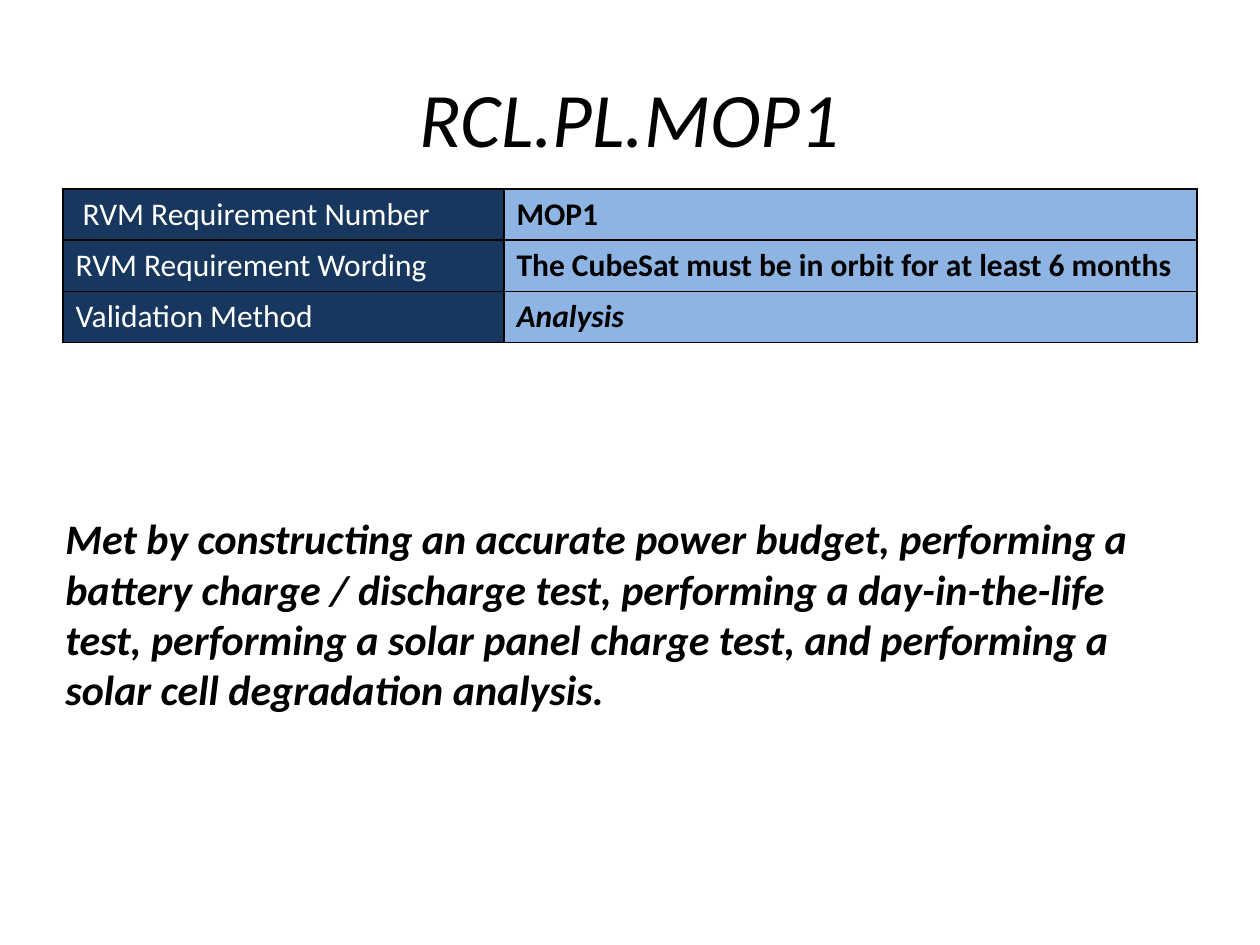
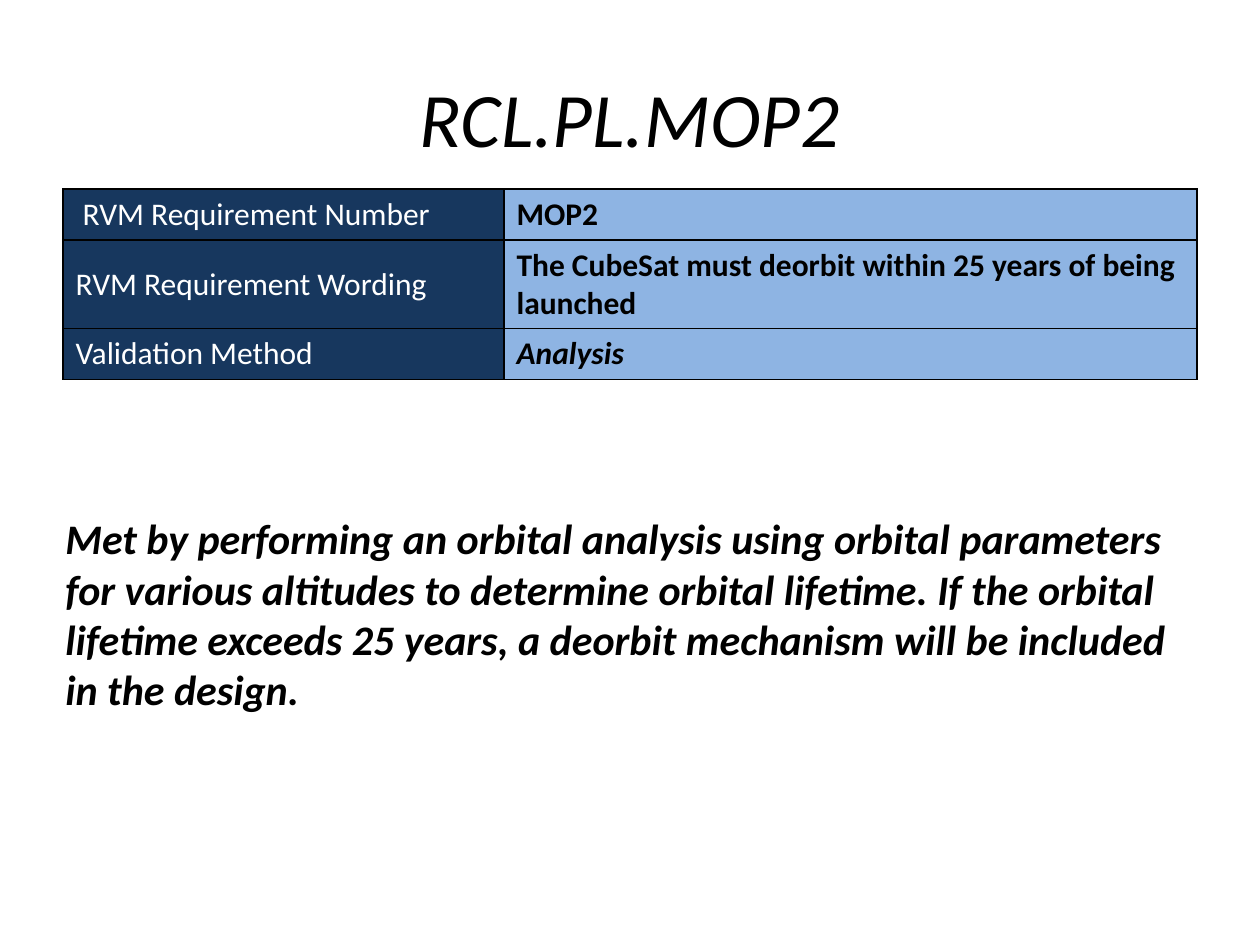
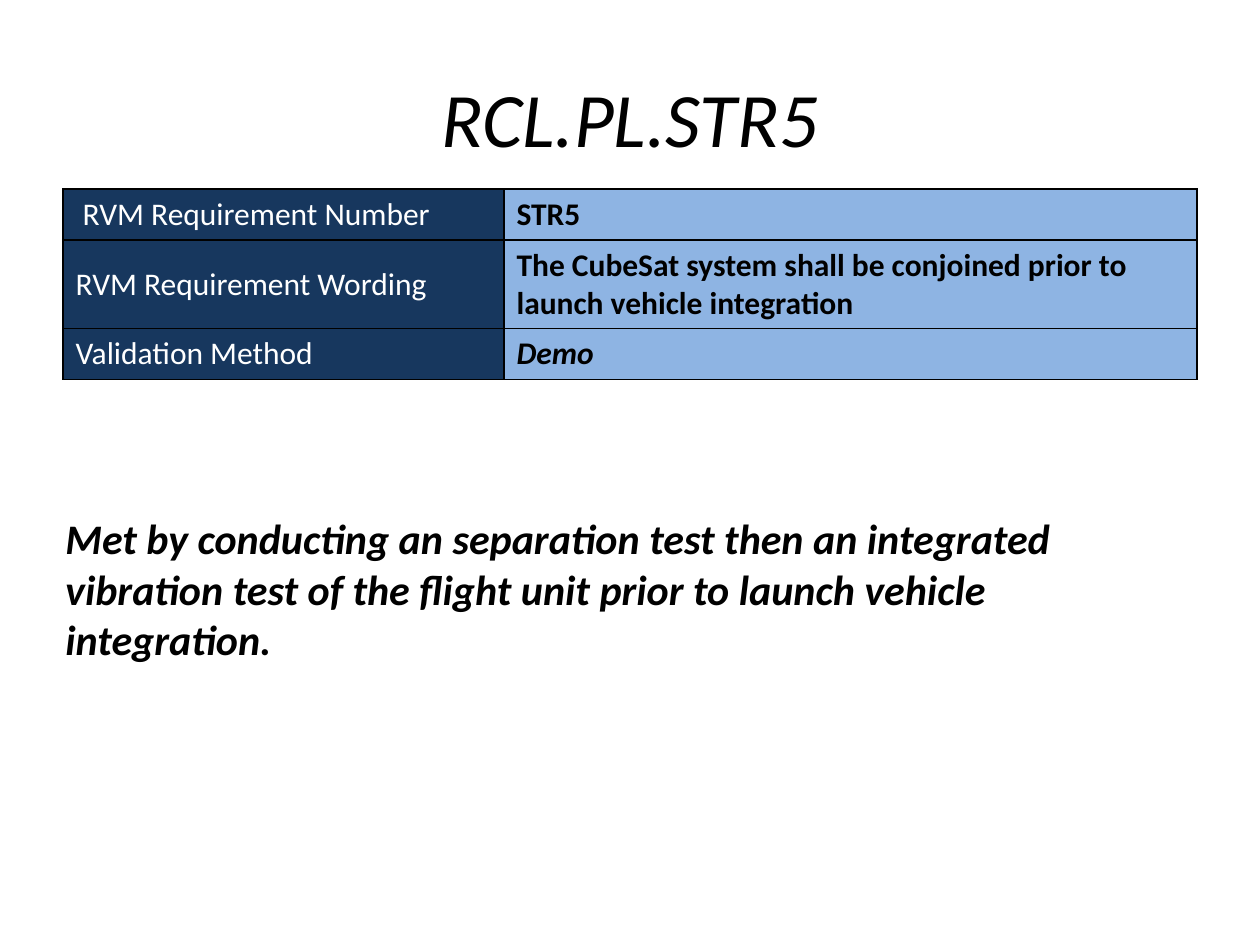
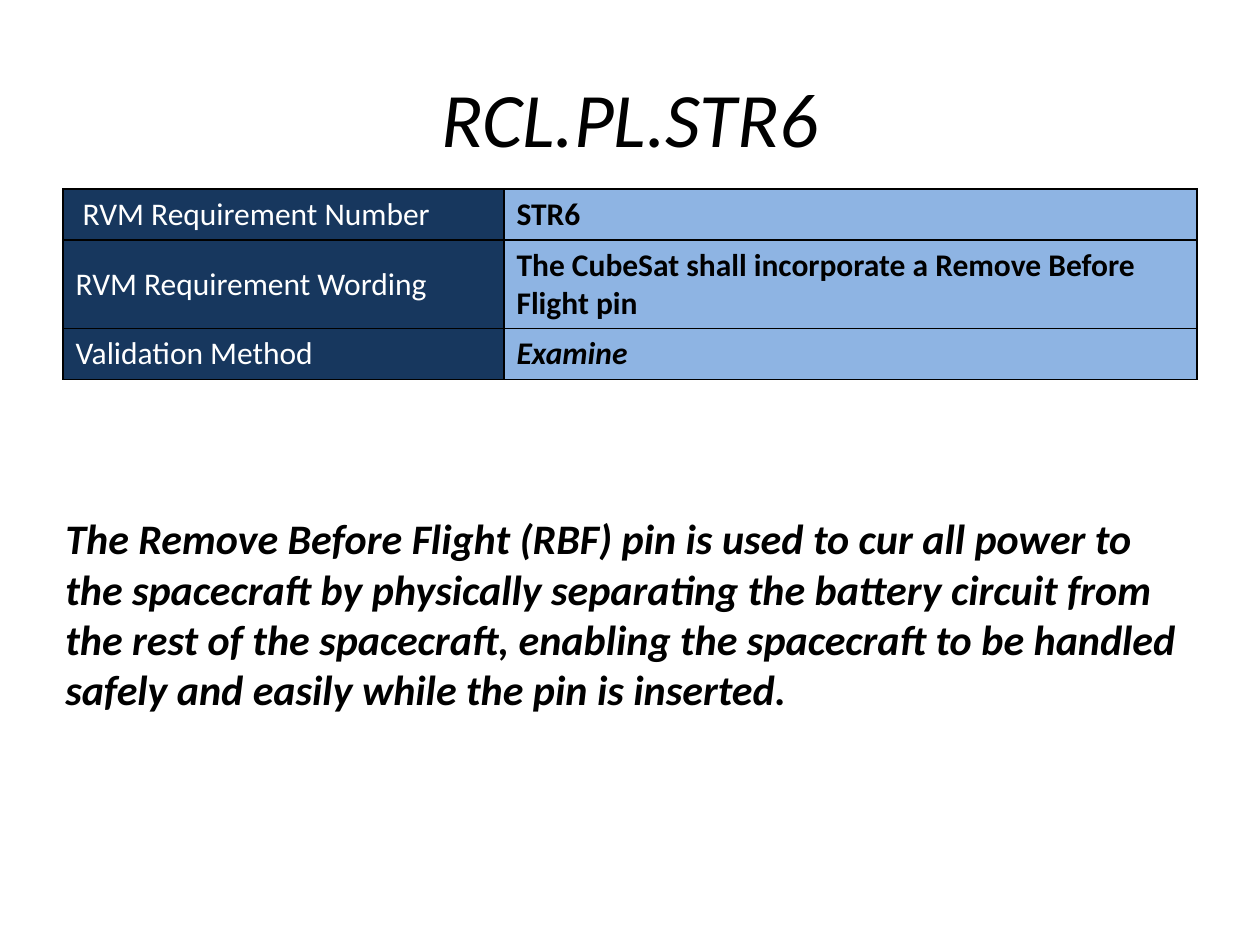
"""Build four requirement validation slides, each with a title, a table and an explanation."""
import lxml.etree
import pptx
import pptx.dml.color
import pptx.enum.text
import pptx.oxml.ns
import pptx.util

Inches = pptx.util.Inches
ANCHOR = pptx.enum.text.MSO_ANCHOR
FONT = "Calibri"
BLACK, WHITE, NAVY, BLUE = "000000", "FFFFFF", "17375E", "8EB4E3"
LABELS = [" RVM Requirement Number", "RVM Requirement Wording", "Validation Method"]
REQUIREMENTS = [
    ("MOP1", "The CubeSat must be in orbit for at least 6 months", "Analysis", 1.72,
     "Met by constructing an accurate power budget, performing a battery charge / discharge test, "
     "performing a day-in-the-life test, performing a solar panel charge test, and performing a "
     "solar cell degradation analysis."),
    ("MOP2", "The CubeSat must deorbit within 25 years of being launched", "Analysis", 1.72,
     "Met by performing an orbital analysis using orbital parameters for various altitudes to "
     "determine orbital lifetime. If the orbital lifetime exceeds 25 years, a deorbit mechanism "
     "will be included in the design."),
    ("STR5", "The CubeSat system shall be conjoined prior to launch vehicle integration", "Demo", 1.31,
     "Met by conducting an separation test then an integrated vibration test of the flight unit "
     "prior to launch vehicle integration."),
    ("STR6", "The CubeSat shall incorporate a Remove Before Flight pin", "Examine", 1.72,
     "The Remove Before Flight (RBF) pin is used to cur all power to the spacecraft by physically "
     "separating the battery circuit from the rest of the spacecraft, enabling the spacecraft to be "
     "handled safely and easily while the pin is inserted."),
]


def rgb(value):
    return pptx.dml.color.RGBColor.from_string(value)


def write(tf, text, size, color=BLACK, bold=False, italic=False):
    tf.word_wrap = True
    p = tf.paragraphs[0]
    p.text = text
    font = p.runs[0].font
    font.name, font.size = FONT, pptx.util.Pt(size)
    font.bold, font.italic = bold, italic
    font.color.rgb = rgb(color)
    return p


prs = pptx.Presentation()
prs.slide_width, prs.slide_height = Inches(10), Inches(7.5)

for number, wording, method, height, explanation in REQUIREMENTS:
    s = prs.slides.add_slide(prs.slide_layouts[6])

    tf = s.shapes.add_textbox(Inches(0.5), Inches(0.3), Inches(9), Inches(1.25)).text_frame
    tf.vertical_anchor = ANCHOR.MIDDLE
    p = write(tf, f"RCL.PL.{number}", 44, italic=True)
    p.alignment = pptx.enum.text.PP_ALIGN.CENTER

    table = s.shapes.add_table(3, 2, Inches(0.5), Inches(1.5), Inches(9), Inches(1.22)).table
    table.first_row = table.horz_banding = False
    table.columns[0].width, table.columns[1].width = Inches(3.5), Inches(5.5)
    for i, (label, value) in enumerate(zip(LABELS, (number, wording, method))):
        name_cell, value_cell = table.cell(i, 0), table.cell(i, 1)
        write(name_cell.text_frame, label, 18, WHITE)
        write(value_cell.text_frame, value, 18, bold=True, italic=value == method)
        name_cell.vertical_anchor = ANCHOR.MIDDLE
        for cell, fill in ((name_cell, NAVY), (value_cell, BLUE)):
            tcPr = cell._tc.get_or_add_tcPr()
            for side in ("a:lnL", "a:lnR", "a:lnT", "a:lnB"):
                ln = lxml.etree.SubElement(tcPr, pptx.oxml.ns.qn(side), w="12700")
                solid = lxml.etree.SubElement(ln, pptx.oxml.ns.qn("a:solidFill"))
                lxml.etree.SubElement(solid, pptx.oxml.ns.qn("a:srgbClr"), val=BLACK)
            cell.fill.solid()
            cell.fill.fore_color.rgb = rgb(fill)

    tf = s.shapes.add_textbox(Inches(0.42), Inches(4.02), Inches(9.08), Inches(height)).text_frame
    tf.auto_size = pptx.enum.text.MSO_AUTO_SIZE.SHAPE_TO_FIT_TEXT
    write(tf, explanation, 24, bold=True, italic=True)

prs.save("out.pptx")
